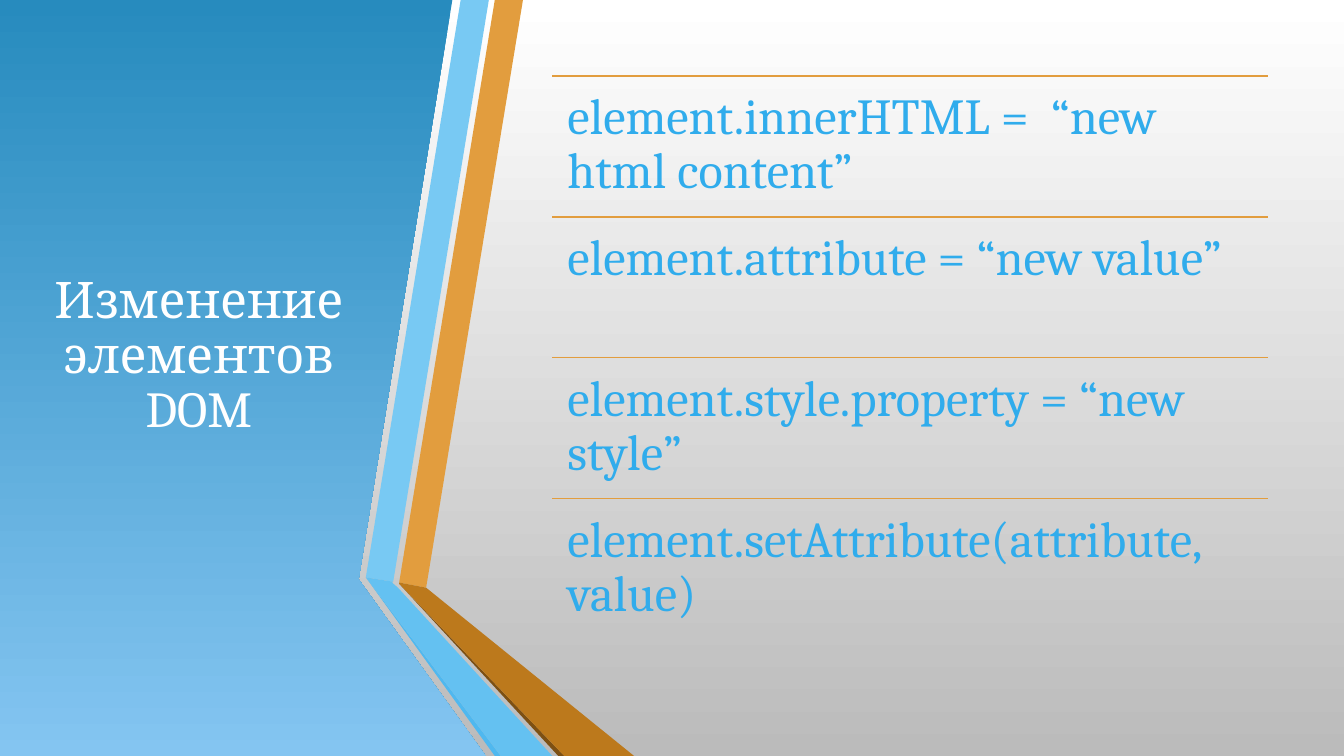
import pptx
import pptx.dml.color
import pptx.enum.shapes
import pptx.enum.text
import pptx.util
import lxml.etree

Cm = pptx.util.Cm
Pt = pptx.util.Pt

TITLE = "Изменение элементов DOM"
ROWS = [
    "element.innerHTML =  “new html content”",
    "element.attribute = “new value”",
    "element.style.property = “new style”",
    "element.setAttribute(attribute, value)",
]
COLORS = {
    "white": "FFFFFF", "gray": "BBBBBB",
    "deep": "278BBE", "light": "84C5F1",
    "text": "30ACEC", "gold": "E29D3E", "bronze": "BC791C", "brown": "7D5013",
    "sky": "78C9F3", "azure": "64C1F1", "blue": "4FB8EF",
}
FONT = "Cambria"
SIZE = 36

# Lengths in centimetres
WIDE, HIGH = 33.87, 19.05
PANEL = [(0, 0), (11.4, 0), (9.04, 14.6), (12.24, HIGH), (0, HIGH)]
BANDS = [
    ("gold", [(10.06, 14.68), (10.74, 14.81), (13.18, 0), (12.47, 0)]),
    ("sky", [(12.32, 0), (11.61, 0), (9.22, 14.55), (9.91, 14.66)]),
    ("blue", [(9.22, 14.55), (12.47, HIGH), (12.62, HIGH)]),
    ("brown", [(10.06, 14.71), (14.07, HIGH), (14.22, HIGH)]),
    ("bronze", [(10.06, 14.71), (14.22, HIGH), (15.98, HIGH),
                (10.74, 14.81), (10.06, 14.68)]),
    ("azure", [(13.92, HIGH), (10.03, 14.81), (9.88, 14.68), (9.91, 14.66),
               (9.22, 14.55), (12.62, HIGH)]),
]
TITLE_BOX = (0.15, 1.91, 9.73, 14.17)
LEFT, TOP, WIDTH, STEP = 13.92, 1.91, 18.03, 3.55
INSET = 0.38


def color(name):
    return pptx.dml.color.RGBColor.from_string(COLORS[name])


def shade(fill, first, last):
    """Fill from the first colour at the top to the last at the bottom."""
    fill.gradient()
    fill.gradient_angle = 270
    for stop, name in zip(fill.gradient_stops, (first, last)):
        stop.color.rgb = color(name)


def draw(slide, points):
    start, *rest = [(Cm(x), Cm(y)) for x, y in points]
    pen = slide.shapes.build_freeform(*start)
    pen.add_line_segments(rest, close=True)
    shape = pen.convert_to_shape()
    shape.shadow.inherit = False
    shape.line.fill.background()
    return shape


def write(slide, box, text, name):
    frame = slide.shapes.add_textbox(*map(Cm, box)).text_frame
    frame.word_wrap = True
    frame.text = text
    par = frame.paragraphs[0]
    par.line_spacing = 0.9
    font = par.runs[0].font
    font.name = FONT
    font.size = Pt(SIZE)
    font.color.rgb = color(name)
    return frame


def rule(slide, y):
    kind = pptx.enum.shapes.MSO_CONNECTOR.STRAIGHT
    line = slide.shapes.add_connector(kind, Cm(LEFT), Cm(y), Cm(LEFT + WIDTH), Cm(y))
    line.line.color.rgb = color("gold")
    line.line.width = Pt(1.25)
    props = line._element.spPr
    lxml.etree.SubElement(props, pptx.oxml.ns.qn("a:effectLst"))


def main():
    deck = pptx.Presentation()
    deck.slide_width, deck.slide_height = Cm(WIDE), Cm(HIGH)
    slide = deck.slides.add_slide(deck.slide_layouts[6])
    shade(slide.background.fill, "white", "gray")

    shade(draw(slide, PANEL).fill, "deep", "light")
    frame = write(slide, TITLE_BOX, TITLE, "white")
    frame.vertical_anchor = pptx.enum.text.MSO_ANCHOR.MIDDLE
    frame.paragraphs[0].alignment = pptx.enum.text.PP_ALIGN.CENTER

    for name, points in BANDS:
        band = draw(slide, points)
        band.fill.solid()
        band.fill.fore_color.rgb = color(name)

    for i, text in enumerate(ROWS):
        y = TOP + i * STEP
        rule(slide, y)
        frame = write(slide, (LEFT, y, WIDTH, STEP), text, "text")
        frame.margin_left = frame.margin_right = Cm(INSET)
        frame.margin_top = frame.margin_bottom = Cm(INSET)

    deck.save("out.pptx")


if __name__ == "__main__":
    main()
